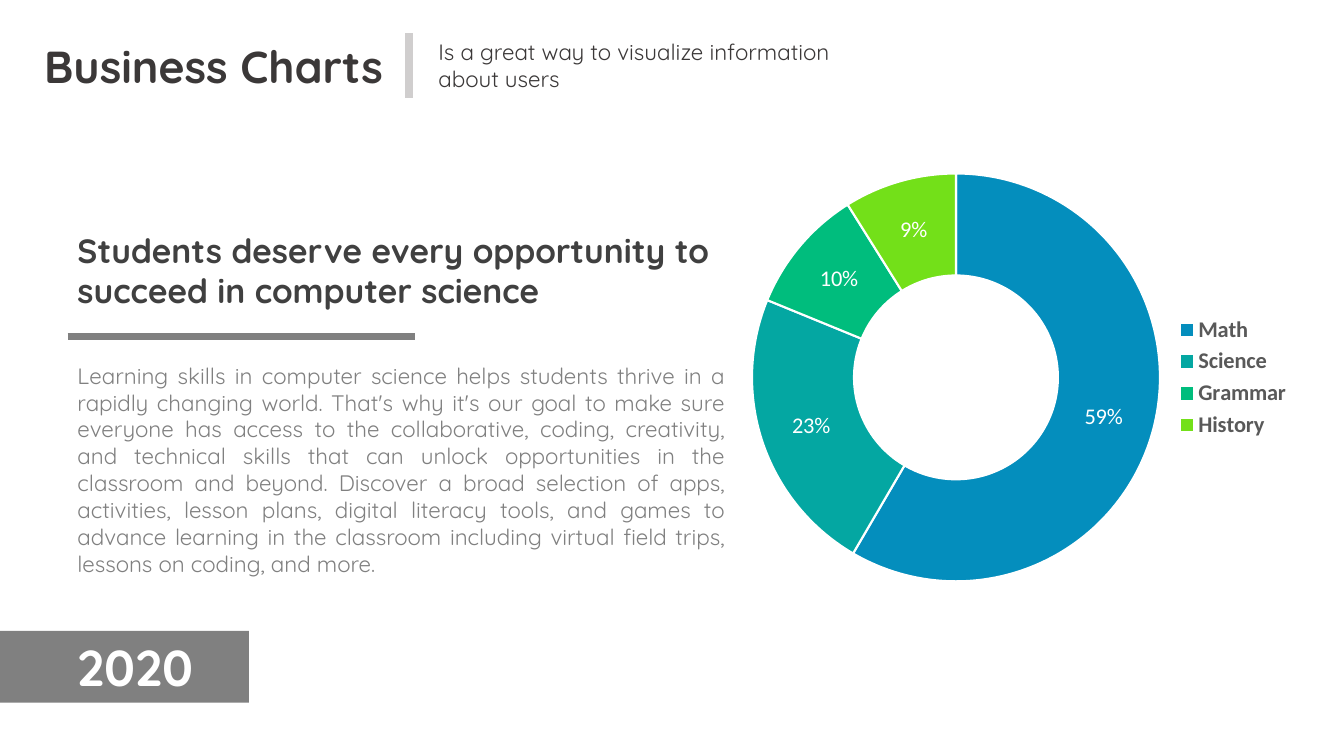
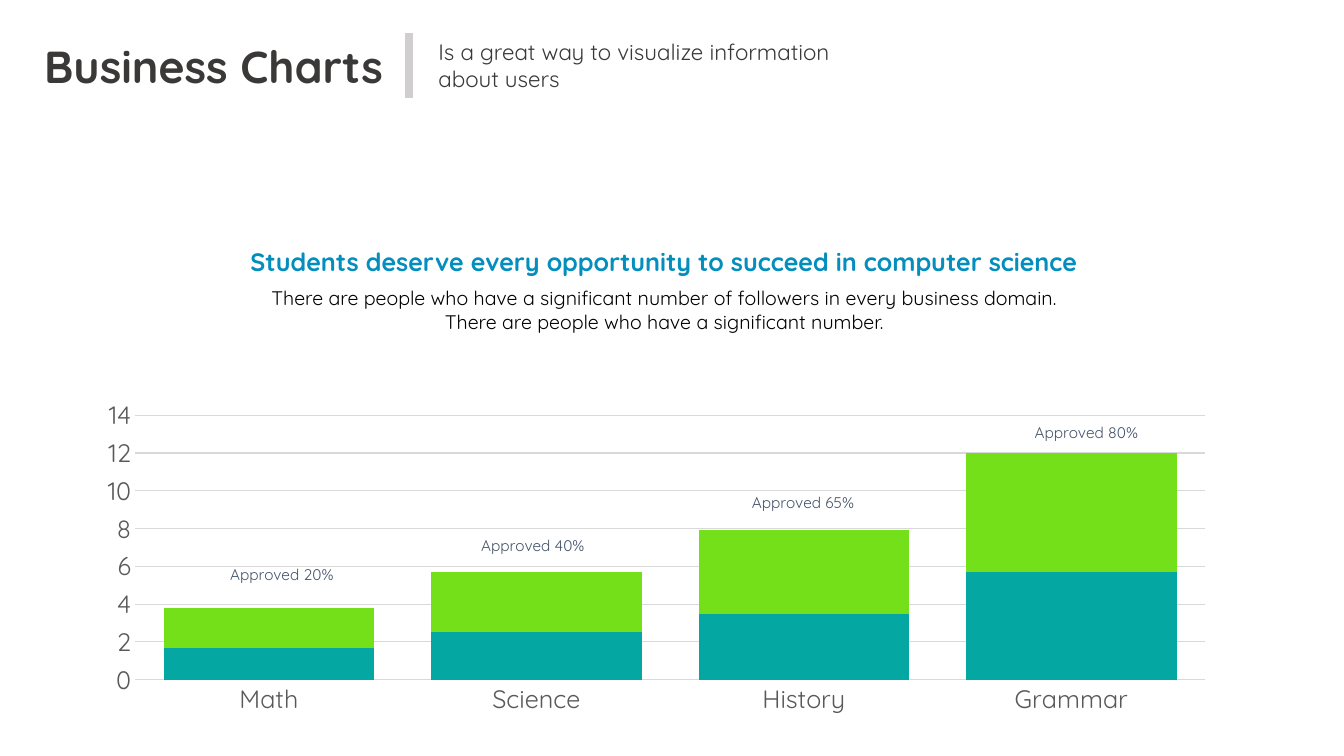
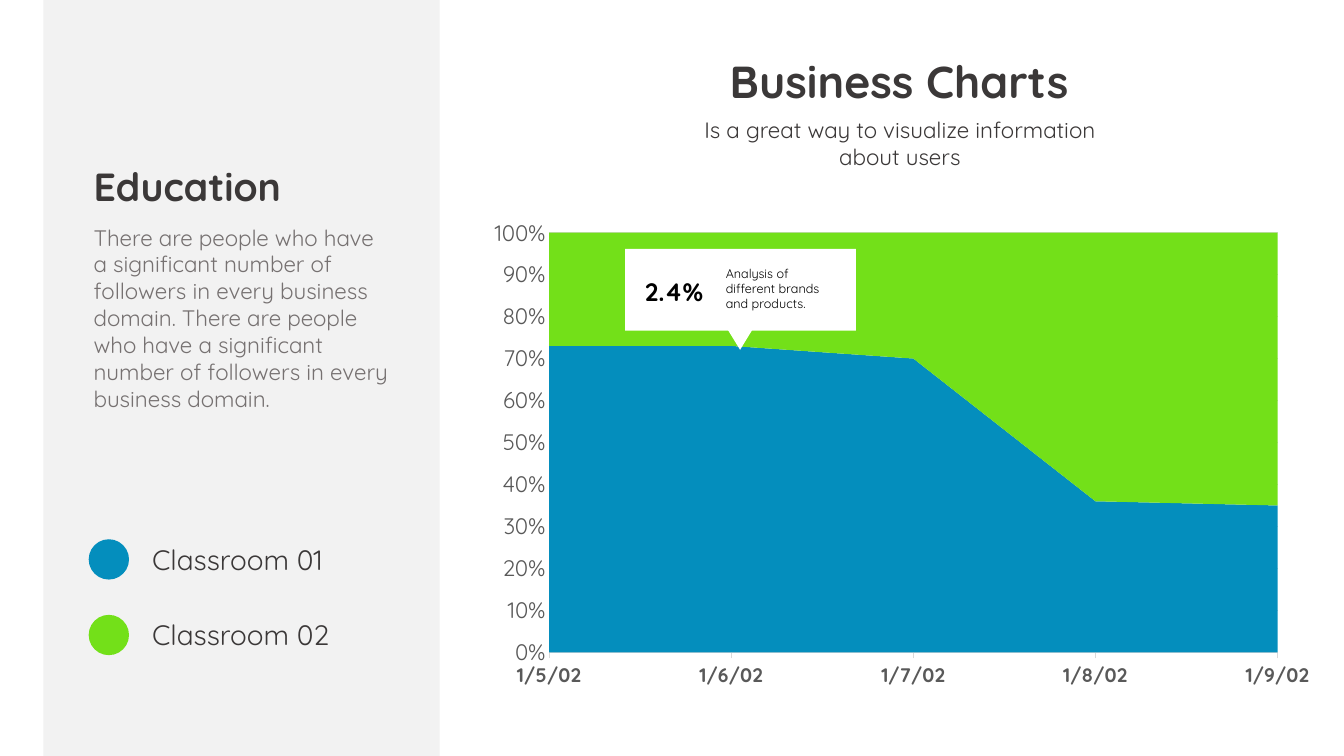
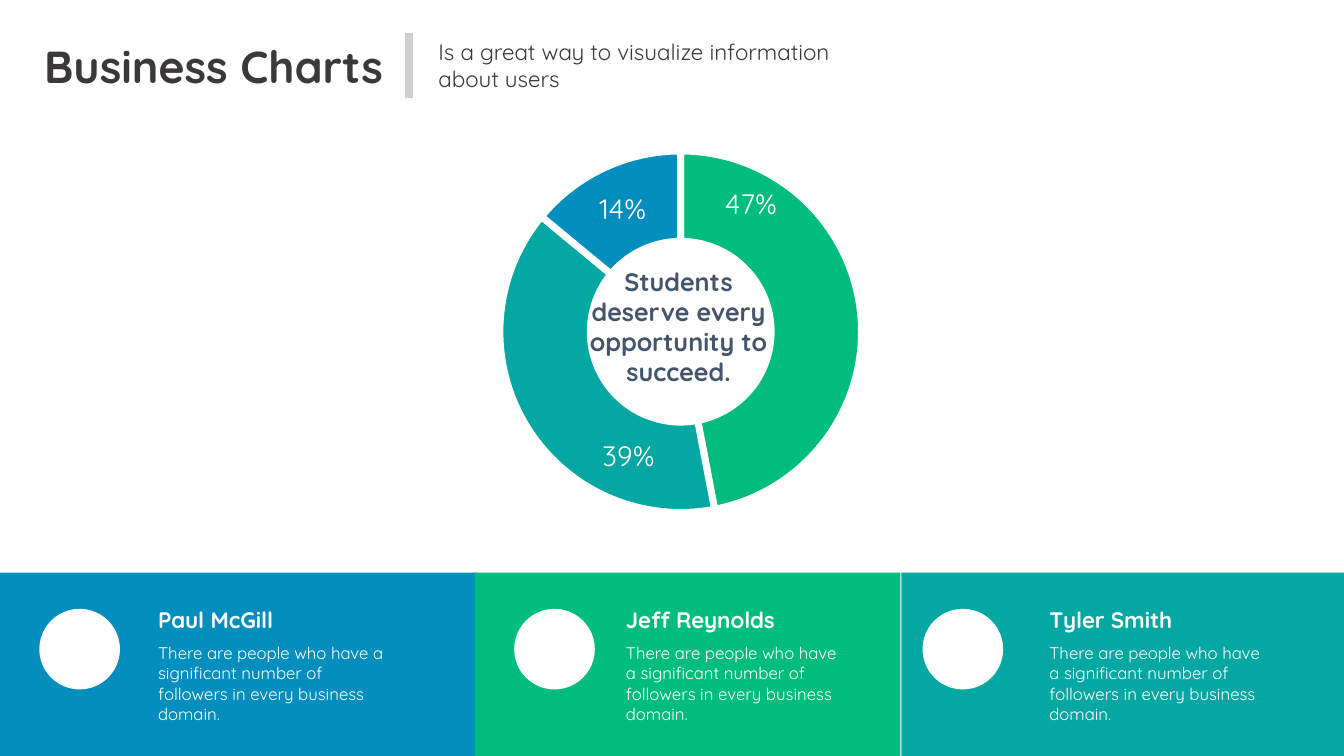
import copy

import lxml.etree
import pptx
import pptx.chart.data
import pptx.dml.color
import pptx.enum.chart
import pptx.enum.shapes
import pptx.enum.text
import pptx.oxml
import pptx.oxml.ns
import pptx.util

Inches, Pt = pptx.util.Inches, pptx.util.Pt
RGB = pptx.dml.color.RGBColor
Align = pptx.enum.text.PP_ALIGN
Shape = pptx.enum.shapes.MSO_SHAPE
ChartKind = pptx.enum.chart.XL_CHART_TYPE
Tick = pptx.enum.chart.XL_TICK_MARK
qn = pptx.oxml.ns.qn

WIDTH, HEIGHT = 13.33, 7.5
FONT, CHART_FONT = "Quicksand", "Calibri"

BLUE = RGB(0x04, 0x8E, 0xBD)
TEAL = RGB(0x04, 0xA7, 0xA2)
GREEN = RGB(0x00, 0xBD, 0x7D)
LIME = RGB(0x73, 0xE0, 0x19)
INK = RGB(0x3B, 0x38, 0x38)
CHARCOAL = RGB(0x40, 0x40, 0x40)
AXIS_TEXT = RGB(0x59, 0x59, 0x59)
GREY = RGB(0x80, 0x80, 0x80)
WARM_GREY = RGB(0x76, 0x71, 0x71)
RULE = RGB(0xD0, 0xCE, 0xCE)
GRID = RGB(0xD9, 0xD9, 0xD9)
PANEL = RGB(0xF2, 0xF2, 0xF2)
SLATE = RGB(0x44, 0x54, 0x6A)
WHITE = RGB(0xFF, 0xFF, 0xFF)
BLACK = RGB(0x00, 0x00, 0x00)

TITLE = "Business Charts"
SUBTITLE = "Is a great way to visualize information about users"
HEADLINE = "Students deserve every opportunity to succeed in computer science"
FOLLOWERS = "There are people who have a significant number of followers in every business domain."

LEARNING = (
    "Learning skills in computer science helps students thrive in a rapidly changing world. "
    "That's why it's our goal to make sure everyone has access to the collaborative, coding, "
    "creativity, and technical skills that can unlock opportunities in the classroom and beyond. "
    "Discover a broad selection of apps, activities, lesson plans, digital literacy tools, and "
    "games to advance learning in the classroom including virtual field trips, lessons on coding, "
    "and more."
)
SUBJECT_SHARES = [("Math", 59, BLUE), ("Science", 23, TEAL), ("Grammar", 10, GREEN), ("History", 9, LIME)]

SUBJECTS = ["Math", "Science", "History", "Grammar"]
SUBJECT_SERIES = [("Series 1", [1.7, 2.5, 3.5, 5.7], TEAL), ("Series 2", [2.1, 3.2, 4.4, 6.3], LIME)]
APPROVALS = [("Approved 20%", 2.12, 5.56), ("Approved 40%", 4.61, 5.27),
             ("Approved 65%", 7.29, 4.84), ("Approved 80%", 10.1, 4.15)]

DAYS = ["1/5/02", "1/6/02", "1/7/02", "1/8/02", "1/9/02"]
DAY_SERIES = [("Series 1", [73, 73, 70, 36, 35], BLUE), ("Series 2", [27, 27, 30, 64, 65], LIME)]
CLASSROOMS = [("Classroom 01", BLUE), ("Classroom 02", LIME)]

PEOPLE_SHARES = [("1", 47, GREEN), ("2", 39, TEAL), ("3", 14, BLUE)]
SHARE_LABEL_SHIFTS = [(-0.08, -0.25), (0.08, 0.12)]
PEOPLE = [
    ("Paul McGill", BLUE, 0, 4.73, 0.39, 1.47, 2.46),
    ("Jeff Reynolds", GREEN, 4.71, 4.22, 5.1, 6.11, 2.34),
    ("Tyler Smith", TEAL, 8.94, 4.39, 9.15, 10.31, 2.34),
]


def style(font, size, color, bold=False, name=FONT):
    font.size, font.bold, font.name = Pt(size), bold, name
    font.color.rgb = color


def text(slide, content, box, size, color=INK, bold=False, align=Align.LEFT, holder=None):
    place = [Inches(length) for length in box]
    if holder is None:
        holder = slide.shapes.add_textbox(*place)
    else:
        holder.left, holder.top, holder.width, holder.height = place
    holder.text_frame.word_wrap = True
    paragraph = holder.text_frame.paragraphs[0]
    paragraph.alignment = align
    run = paragraph.add_run()
    run.text = content
    style(run.font, size, color, bold)


def block(slide, kind, box, color, rotation=0):
    shape = slide.shapes.add_shape(kind, *[Inches(length) for length in box])
    shape.shadow.inherit = False
    shape.fill.solid()
    shape.fill.fore_color.rgb = color
    shape.line.fill.background()
    shape.rotation = rotation


def rule(slide, start, end, color, weight):
    connector = slide.shapes.add_connector(
        pptx.enum.shapes.MSO_CONNECTOR.STRAIGHT, *[Inches(length) for length in start + end])
    connector.line.color.rgb = color
    connector.line.width = Pt(weight)
    lxml.etree.SubElement(connector._element.spPr, qn("a:effectLst"))


def new_slide(deck, title_box=(0.18, 0.33, 3.88, 0.64), subtitle_box=(4.25, 0.33, 4.51, 0.64),
              subtitle_align=Align.LEFT, divider=True):
    slide = deck.slides.add_slide(deck.slide_layouts[5])
    text(slide, TITLE, title_box, 32, bold=True, align=Align.CENTER, holder=slide.shapes.title)
    text(slide, SUBTITLE, subtitle_box, 16, align=subtitle_align)
    if divider:
        rule(slide, (4.06, 0.33), (4.06, 0.97), RULE, 5.5)
    return slide


def chart_element(tag, value=None):
    element = pptx.oxml.parse_xml(f"<{tag} {pptx.oxml.ns.nsdecls('c')}/>")
    if value is not None:
        element.set("val", str(value))
    return element


def manual_layout(settings):
    layout, manual = chart_element("c:layout"), chart_element("c:manualLayout")
    layout.append(manual)
    for tag, value in settings:
        manual.append(chart_element("c:" + tag, value))
    return layout


def add_chart(slide, kind, box, categories, series, plot_area, font=FONT, size=18):
    data = pptx.chart.data.CategoryChartData()
    data.categories = categories
    for name, values, _ in series:
        data.add_series(name, values)
    chart = slide.shapes.add_chart(kind, *[Inches(length) for length in box], data).chart
    chart.has_title = chart.has_legend = False
    style(chart.font, size, BLACK, name=font)
    area = chart._chartSpace.find(".//" + qn("c:plotArea"))
    for old in area.findall(qn("c:layout")):
        area.remove(old)
    edges = [("layoutTarget", "inner"), ("xMode", "edge"), ("yMode", "edge")]
    area.insert(0, manual_layout(edges + list(zip("xywh", plot_area))))
    return chart


def doughnut(slide, box, shares, plot_area, hole, gap, font, size, shifts=()):
    names, values, colors = zip(*shares)
    chart = add_chart(slide, ChartKind.DOUGHNUT, box, names, [("Series 1", values, None)],
                      plot_area, CHART_FONT, 10)
    chart._chartSpace.find(".//" + qn("c:holeSize")).set("val", str(hole))
    ring = chart.plots[0].series[0]
    for index, color in enumerate(colors):
        slice_format = ring.points[index].format
        slice_format.fill.solid()
        slice_format.fill.fore_color.rgb = color
        slice_format.line.color.rgb = WHITE
        slice_format.line.width = Pt(gap)
    labels = ring.data_labels
    labels.show_value = True
    labels.number_format = '0"%"'
    labels.number_format_is_linked = False
    style(labels.font, size, WHITE, name=font)
    shared = [part for part in labels._element if part.tag != qn("c:showLeaderLines")]
    for index, shift in enumerate(shifts):
        label = chart_element("c:dLbl")
        label.append(chart_element("c:idx", index))
        label.append(manual_layout(zip("xy", shift)))
        label.extend([copy.deepcopy(part) for part in shared])
        labels._element.insert(index, label)
    return chart


def axis_chart(slide, kind, box, categories, series, plot_area, step, number_format,
               category_size=18, value_size=18, category_bold=False, tick=Tick.NONE):
    chart = add_chart(slide, kind, box, categories, series, plot_area)
    for drawn, (_, _, color) in zip(chart.plots[0].series, series):
        drawn.format.fill.solid()
        drawn.format.fill.fore_color.rgb = color
    across, up = chart.category_axis, chart.value_axis
    style(across.tick_labels.font, category_size, AXIS_TEXT, category_bold)
    style(up.tick_labels.font, value_size, AXIS_TEXT)
    across.has_major_gridlines, up.has_major_gridlines = False, True
    across.major_tick_mark, up.major_tick_mark = tick, Tick.NONE
    for line in (across.format.line, up.major_gridlines.format.line):
        line.color.rgb = GRID
        line.width = Pt(0.75)
    up.format.line.fill.background()
    up.major_unit = step
    up.tick_labels.number_format = number_format
    up.tick_labels.number_format_is_linked = False
    return chart


def subject_shares(deck):
    slide = new_slide(deck)
    chart = doughnut(slide, (7.29, 1.15, 5.62, 5.19), SUBJECT_SHARES,
                     (0.03, 0.11, 0.72, 0.78), 16, 1.5, CHART_FONT, 16)
    chart.has_legend = True
    chart.legend.position = pptx.enum.chart.XL_LEGEND_POSITION.RIGHT
    chart.legend.include_in_layout = False
    style(chart.legend.font, 16, AXIS_TEXT, True, CHART_FONT)
    left, column = 0.67, 6.62
    text(slide, HEADLINE, (left, 2.23, column, 0.91), 24, CHARCOAL, True)
    rule(slide, (left, 3.34), (4.12, 3.34), GREY, 4.5)
    text(slide, LEARNING, (left, 3.54, column, 2.26), 16, GREY, align=Align.JUSTIFY)
    block(slide, Shape.RECTANGLE, (0, 6.26, 2.47, 0.71), GREY)
    text(slide, "2020", (left, 6.26, 1.8, 0.71), 36, WHITE, True)


def subject_columns(deck):
    slide = new_slide(deck)
    chart = axis_chart(slide, ChartKind.COLUMN_STACKED, (0.83, 3.89, 11.35, 3.28), SUBJECTS,
                       SUBJECT_SERIES, (0.045, 0.07, 0.935, 0.8), 2, "0")
    chart.value_axis.minimum_scale, chart.value_axis.maximum_scale = 0, 14
    chart.plots[0].gap_width, chart.plots[0].overlap = 27, 100
    for approval, left, top in APPROVALS:
        text(slide, approval, (left, top, 1.35, 0.29), 11, SLATE, align=Align.CENTER)
    text(slide, HEADLINE, (2.26, 2.39, 8.65, 0.4), 18, BLUE, True, Align.CENTER)
    text(slide, FOLLOWERS + " There are people who have a significant number.",
         (2.4, 2.79, 8.38, 0.57), 14, BLACK, align=Align.CENTER)


def classroom_areas(deck):
    slide = new_slide(deck, (6.98, 0.48, 3.88, 0.64), (6.67, 1.1, 4.51, 0.64), Align.CENTER, False)
    block(slide, Shape.RECTANGLE, (0.43, 0, 3.93, HEIGHT), PANEL)
    text(slide, "Education", (0.83, 1.56, 2.27, 0.57), 28, bold=True)
    text(slide, FOLLOWERS + " " + FOLLOWERS, (0.83, 2.17, 3.12, 2.26), 16, WARM_GREY)
    for row, (classroom, color) in enumerate(CLASSROOMS):
        top = 5.35 + 0.75 * row
        block(slide, Shape.OVAL, (0.88, top, 0.4, 0.4), color)
        text(slide, classroom, (1.41, top - 0.02, 2.36, 0.44), 20)
    axis_chart(slide, ChartKind.AREA_STACKED_100, (4.74, 2.08, 8.42, 4.85), DAYS, DAY_SERIES,
               (0.084, 0.047, 0.858, 0.859), 0.1, "0%", 14, 16, True, Tick.OUTSIDE)
    block(slide, Shape.RECTANGLE, (6.2, 2.47, 2.29, 0.81), WHITE)
    block(slide, Shape.ISOSCELES_TRIANGLE, (7.15, 3.16, 0.38, 0.31), WHITE, 180)
    text(slide, "2.4%", (6.29, 2.69, 0.79, 0.4), 18, BLACK, True, Align.CENTER)
    text(slide, "Analysis of different brands and products.", (7.1, 2.59, 1.19, 0.56), 9, BLACK)


def people_shares(deck):
    slide = new_slide(deck)
    band_top = 5.68
    for name, color, left, width, portrait_left, text_left, text_width in PEOPLE:
        block(slide, Shape.RECTANGLE, (left, band_top, width, HEIGHT - band_top), color)
        block(slide, Shape.OVAL, (portrait_left, 6.04, 0.8, 0.8), WHITE)
        text(slide, name, (text_left, 5.96, text_width, 0.37), 16, WHITE, True)
        text(slide, FOLLOWERS, (text_left, 6.33, text_width, 0.91), 12, WHITE)
    doughnut(slide, (4.45, 1, 8.02, 4.57), PEOPLE_SHARES, (0.063, 0.109, 0.448, 0.785),
             66, 5, FONT, 20, SHARE_LABEL_SHIFTS)
    text(slide, "Students deserve every opportunity to succeed.", (5.7, 2.59, 2.06, 1.31),
         18, SLATE, True, Align.CENTER)


def main():
    deck = pptx.Presentation()
    deck.slide_width, deck.slide_height = Inches(WIDTH), Inches(HEIGHT)
    for build in (subject_shares, subject_columns, classroom_areas, people_shares):
        build(deck)
    deck.save("out.pptx")


if __name__ == "__main__":
    main()
